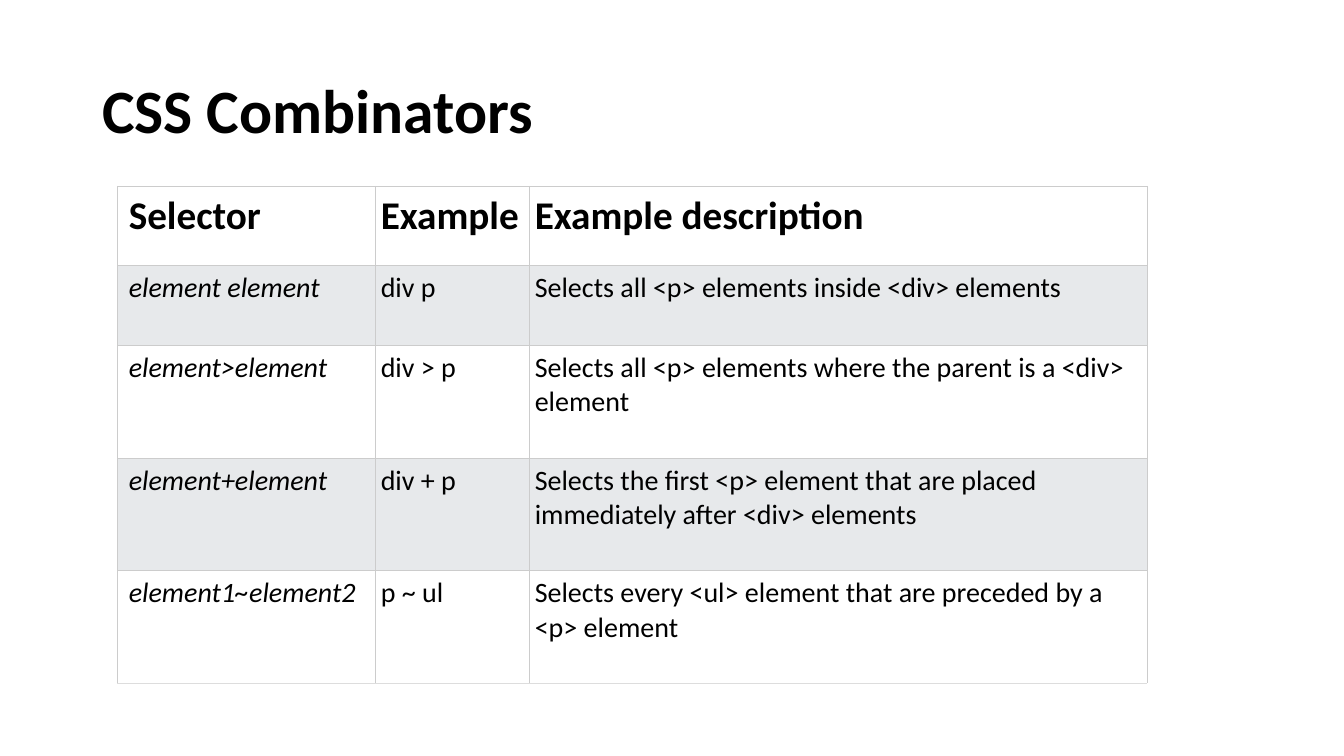
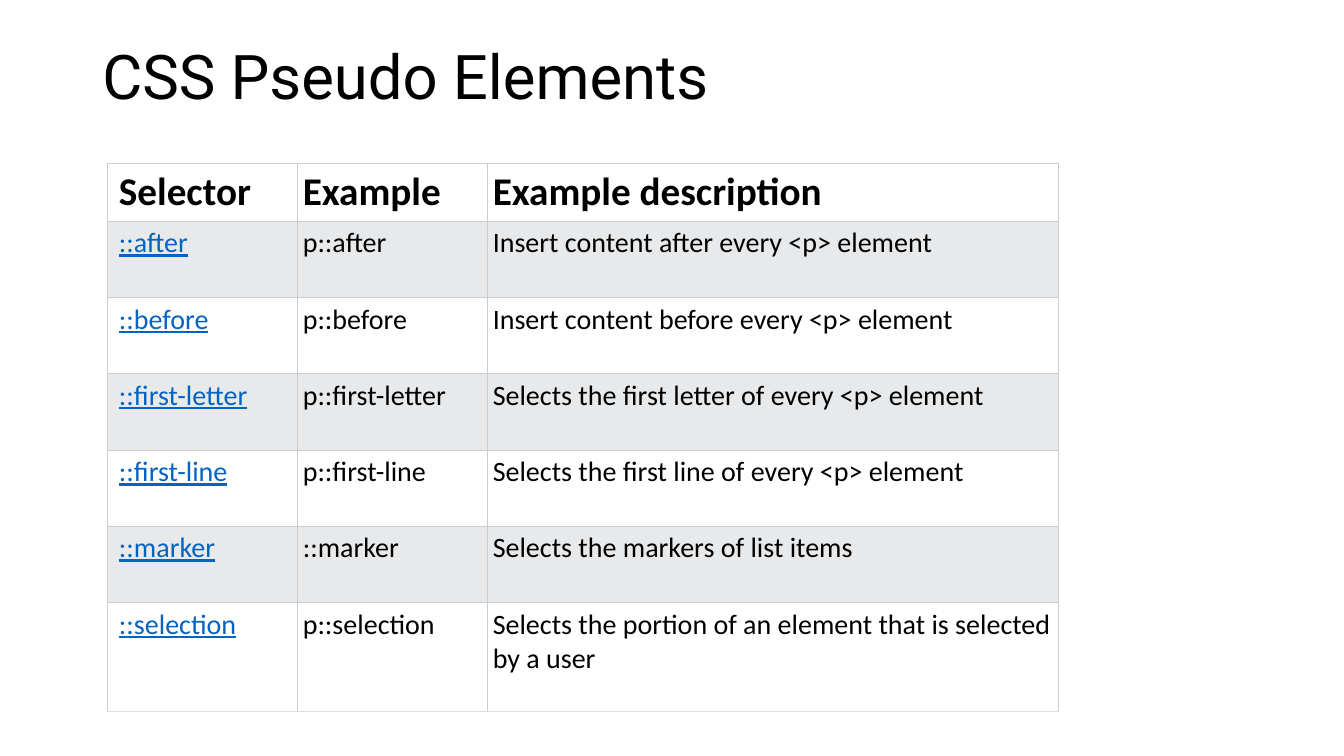
import pptx
import pptx.util
import pptx.dml.color
import pptx.enum.text
import pptx.oxml
import pptx.oxml.ns
from dataclasses import dataclass

Pt = pptx.util.Pt


@dataclass(frozen=True)
class Theme:
    ink: str = "000000"
    link: str = "0563C1"
    plain: str = "FFFFFF"
    band: str = "E7E9EB"
    rule: str = "CCCCCC"
    base: str = "DDDDDD"
    font: str = "Calibri"
    title: int = 44
    head: int = 28
    body: int = 20
    line: float = 0.5


def color(code):
    return pptx.dml.color.RGBColor.from_string(code)


class Deck:
    def __init__(self, theme):
        self.theme = theme
        self.show = pptx.Presentation()
        self.show.slide_width = Pt(960)
        self.show.slide_height = Pt(540)
        self.slide = None

    def page(self):
        self.slide = self.show.slides.add_slide(self.show.slide_layouts[6])

    def label(self, frame, text, size, font=None, tint=None, **marks):
        frame.text = text
        face = frame.paragraphs[0].runs[0].font
        face.name = font or self.theme.font
        face.size = Pt(size)
        face.color.rgb = color(tint or self.theme.ink)
        for mark in ("bold", "italic", "underline"):
            setattr(face, mark, marks.get(mark, False))

    def title(self, text, high, **style):
        box = self.slide.shapes.add_textbox(Pt(66), Pt(29), Pt(828), Pt(high))
        frame = box.text_frame
        frame.word_wrap = True
        frame.vertical_anchor = pptx.enum.text.MSO_ANCHOR.MIDDLE
        self.label(frame, text, self.theme.title, **style)
        frame.paragraphs[0].line_spacing = 0.9

    def edge(self, cell, last):
        props = cell._tc.get_or_add_tcPr()
        space = pptx.oxml.ns.nsdecls("a")
        for spot, side in enumerate("LRTB"):
            tint = self.theme.base if last and side == "B" else self.theme.rule
            props.insert(spot, pptx.oxml.parse_xml(
                f'<a:ln{side} {space} w="{int(Pt(self.theme.line))}"><a:solidFill>'
                f'<a:srgbClr val="{tint}"/></a:solidFill></a:ln{side}>'))

    def table(self, left, top, wide, high, rows, pad, lead):
        frame = self.slide.shapes.add_table(
            len(rows), len(wide), Pt(left), Pt(top), Pt(sum(wide)), Pt(sum(high)))
        grid = frame.table
        for col, size in zip(grid.columns, wide):
            col.width = Pt(size)
        for row, size in zip(grid.rows, high):
            row.height = Pt(size)
        for r, row in enumerate(rows):
            for c, text in enumerate(row):
                cell = grid.cell(r, c)
                cell.margin_left = Pt(pad if c else 8)
                cell.margin_right = cell.margin_top = cell.margin_bottom = Pt(pad)
                cell.fill.solid()
                cell.fill.fore_color.rgb = color(
                    self.theme.band if r % 2 else self.theme.plain)
                if r == 0:
                    self.label(cell.text_frame, text, self.theme.head, bold=True)
                else:
                    style = {} if c else lead
                    self.label(cell.text_frame, text, self.theme.body, **style)
                self.edge(cell, r == len(rows) - 1)


HEAD = ("Selector", "Example", "Example description")

PAIRS = [
    HEAD,
    ("element element", "div p", "Selects all <p> elements inside <div> elements"),
    ("element>element", "div > p",
     "Selects all <p> elements where the parent is a <div> element"),
    ("element+element", "div + p",
     "Selects the first <p> element that are placed immediately after <div> elements"),
    ("element1~element2", "p ~ ul",
     "Selects every <ul> element that are preceded by a <p> element"),
]

PARTS = [
    HEAD,
    ("::after", "p::after", "Insert content after every <p> element"),
    ("::before", "p::before", "Insert content before every <p> element"),
    ("::first-letter", "p::first-letter",
     "Selects the first letter of every <p> element"),
    ("::first-line", "p::first-line", "Selects the first line of every <p> element"),
    ("::marker", "::marker", "Selects the markers of list items"),
    ("::selection", "p::selection",
     "Selects the portion of an element that is selected by a user"),
]


def main():
    theme = Theme()
    deck = Deck(theme)

    deck.page()
    deck.title("CSS Combinators", 104, bold=True)
    deck.table(84, 133, [184, 110, 441.4], [56.8] * 2 + [80.5] * 3,
               PAIRS, 4, {"italic": True})

    deck.page()
    deck.title("CSS Pseudo Elements", 56, font="Roboto")
    deck.table(77, 116.5, [135.7, 135.7, 407.5], [41.4] + [54.5] * 5 + [77.8],
               PARTS, 3.6, {"tint": theme.link, "underline": True})

    deck.show.save("out.pptx")


if __name__ == "__main__":
    main()
